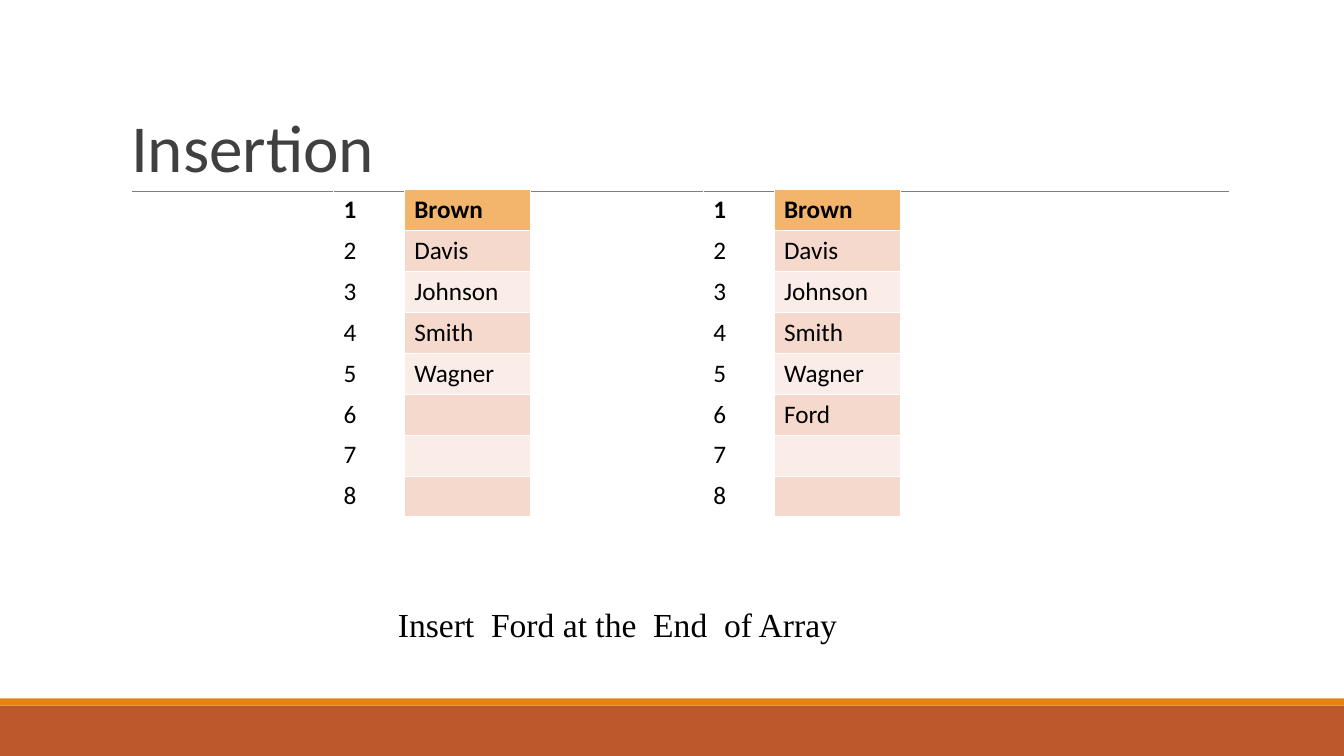
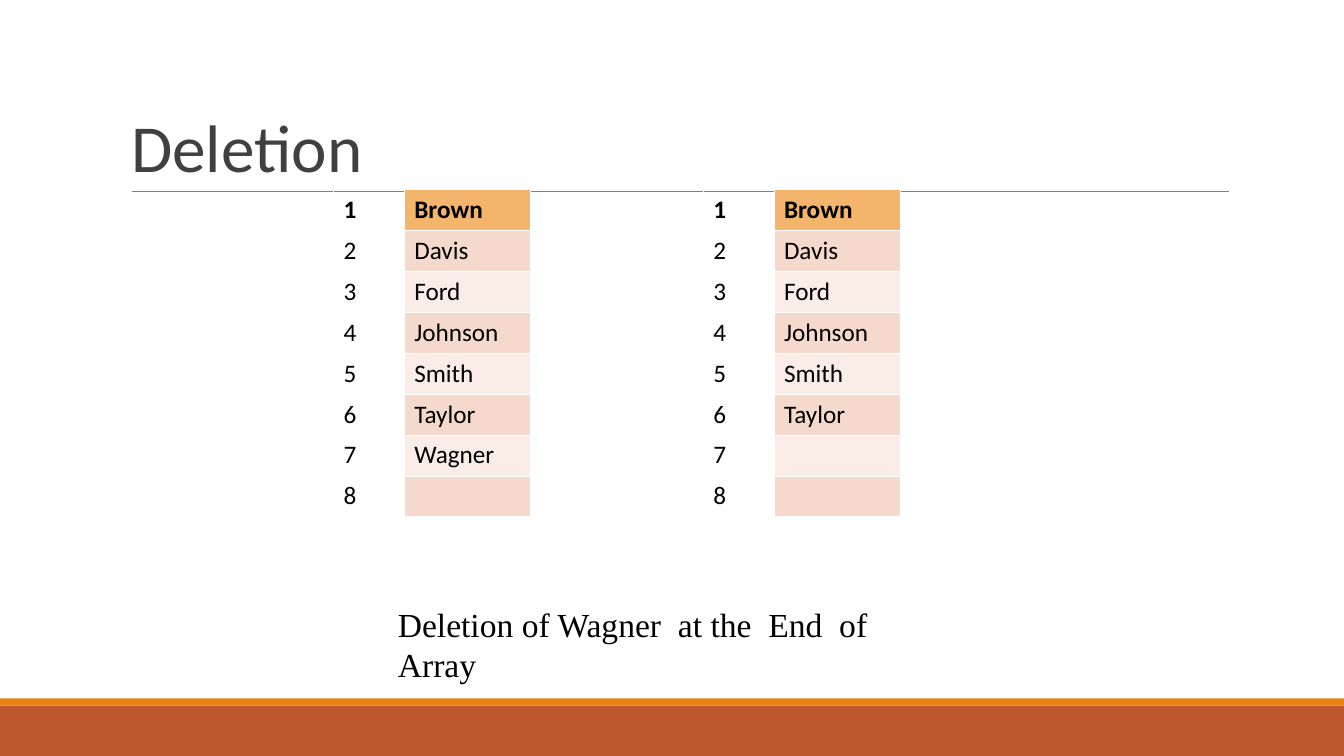
from lxml import etree
from pptx import Presentation
from pptx import util as u
from pptx.dml.color import RGBColor
from pptx.enum import shapes, text
from pptx.oxml.ns import qn

COLORS = {
    "band": "BD582C", "stripe": "E48312", "rule": "7F7F7F", "title": "404040",
    "ink": "000000", "border": "FFFFFF", "head": "F3B56C",
    "dark_row": "F5D9CC", "light_row": "FAEDE7",
}
SLOTS = 8
ROW_HEIGHT = u.Cm(1.03)
INDEX_WIDTH, NAME_WIDTH = u.Cm(1.78), u.Cm(3.18)
TABLE_TOP = u.Cm(4.78)
TABLE_LEFTS = (u.Cm(8.41), u.Cm(17.73))
THIN, THICK = u.Pt(0.45), u.Pt(1.47)

OPERATIONS = [
    {
        "title": "Insertion",
        "before": ["Brown", "Davis", "Johnson", "Smith", "Wagner"],
        "after": ["Brown", "Davis", "Johnson", "Smith", "Wagner", "Ford"],
        "caption": "Insert  Ford at the  End  of Array",
        "caption_height": u.Cm(1.27),
    },
    {
        "title": "Deletion",
        "before": ["Brown", "Davis", "Ford", "Johnson", "Smith", "Taylor", "Wagner"],
        "after": ["Brown", "Davis", "Ford", "Johnson", "Smith", "Taylor"],
        "caption": "Deletion of Wagner  at the  End  of Array",
        "caption_height": u.Cm(2.29),
    },
]


def write_text(frame, content, size=18, font="Calibri", color="ink", bold=False, spacing=None):
    paragraph = frame.paragraphs[0]
    paragraph.alignment = text.PP_ALIGN.LEFT
    if spacing:
        paragraph.line_spacing = spacing
    run = paragraph.add_run()
    run.text = content
    run.font.size = u.Pt(size)
    run.font.name = font
    run.font.bold = bold
    run.font.color.rgb = RGBColor.from_string(COLORS[color])


def set_borders(cell, **widths):
    """Draw the cell's borders; widths are keyed L, R, T and B in that order."""
    properties = cell._tc.get_or_add_tcPr()
    for position, (side, width) in enumerate(widths.items()):
        line = etree.Element(qn(f"a:ln{side}"), w=str(int(width)))
        fill = etree.SubElement(line, qn("a:solidFill"))
        etree.SubElement(fill, qn("a:srgbClr"), val=COLORS["border"])
        properties.insert(position, line)


deck = Presentation()
deck.slide_width, deck.slide_height = u.Cm(33.88), u.Cm(19.05)

layout = deck.slide_layouts[5]
layout_title = layout.placeholders[0]
layout_title.left, layout_title.top = u.Cm(3.05), u.Cm(0.79)
layout_title.width, layout_title.height = u.Cm(27.94), u.Cm(4.04)

slides = [deck.slides.add_slide(layout) for _ in OPERATIONS]

# Layouts cannot add shapes, so the shared ones are made on a slide and moved
furniture = []
for color, top, height in (("band", 17.78, 1.27), ("stripe", 17.6, 0.18)):
    band = slides[0].shapes.add_shape(
        shapes.MSO_SHAPE.RECTANGLE, 0, u.Cm(top), deck.slide_width, u.Cm(height))
    band.shadow.inherit = False
    band.fill.solid()
    band.fill.fore_color.rgb = RGBColor.from_string(COLORS[color])
    band.line.fill.background()
    furniture.append(band)

title_rule = slides[0].shapes.add_connector(
    shapes.MSO_CONNECTOR.STRAIGHT, u.Cm(3.33), u.Cm(4.83), u.Cm(30.99), u.Cm(4.83))
title_rule.line.color.rgb = RGBColor.from_string(COLORS["rule"])
title_rule.line.width = u.Pt(0.5)
etree.SubElement(title_rule.element.spPr, qn("a:effectLst"))
furniture.append(title_rule)

for position, shape in enumerate(furniture):
    shape.element.xpath(".//p:cNvPr")[0].set("id", str(20 + position))
    layout.element.cSld.spTree.insert(2 + position, shape.element)

for slide, operation in zip(slides, OPERATIONS):
    heading = slide.shapes.title.text_frame
    heading.vertical_anchor = text.MSO_ANCHOR.BOTTOM
    heading.auto_size = text.MSO_AUTO_SIZE.NONE
    write_text(heading, operation["title"], size=48, color="title", spacing=0.85)

    for left, state in zip(TABLE_LEFTS, ("before", "after")):
        array = slide.shapes.add_table(
            SLOTS, 2, left, TABLE_TOP, INDEX_WIDTH + NAME_WIDTH, ROW_HEIGHT * SLOTS).table
        array.columns[0].width, array.columns[1].width = INDEX_WIDTH, NAME_WIDTH
        names = operation[state]
        for row in range(SLOTS):
            array.rows[row].height = ROW_HEIGHT
            index_cell, name_cell = array.cell(row, 0), array.cell(row, 1)
            write_text(index_cell.text_frame, str(row + 1), bold=row == 0)
            if row < len(names):
                write_text(name_cell.text_frame, names[row], bold=row == 0)
            index_cell.fill.background()
            name_cell.fill.solid()
            shade = "head" if row == 0 else "dark_row" if row % 2 else "light_row"
            name_cell.fill.fore_color.rgb = RGBColor.from_string(COLORS[shade])
            for cell in (index_cell, name_cell):
                set_borders(cell, L=THIN, R=THIN,
                            T=THICK if row == 1 else THIN,
                            B=THICK if row == 0 else THIN)

    caption = slide.shapes.add_textbox(
        u.Cm(9.78), u.Cm(15.09), u.Cm(14.27), operation["caption_height"]).text_frame
    caption.word_wrap = True
    caption.auto_size = text.MSO_AUTO_SIZE.SHAPE_TO_FIT_TEXT
    write_text(caption, operation["caption"], size=24, font="Times New Roman")

deck.save("out.pptx")
